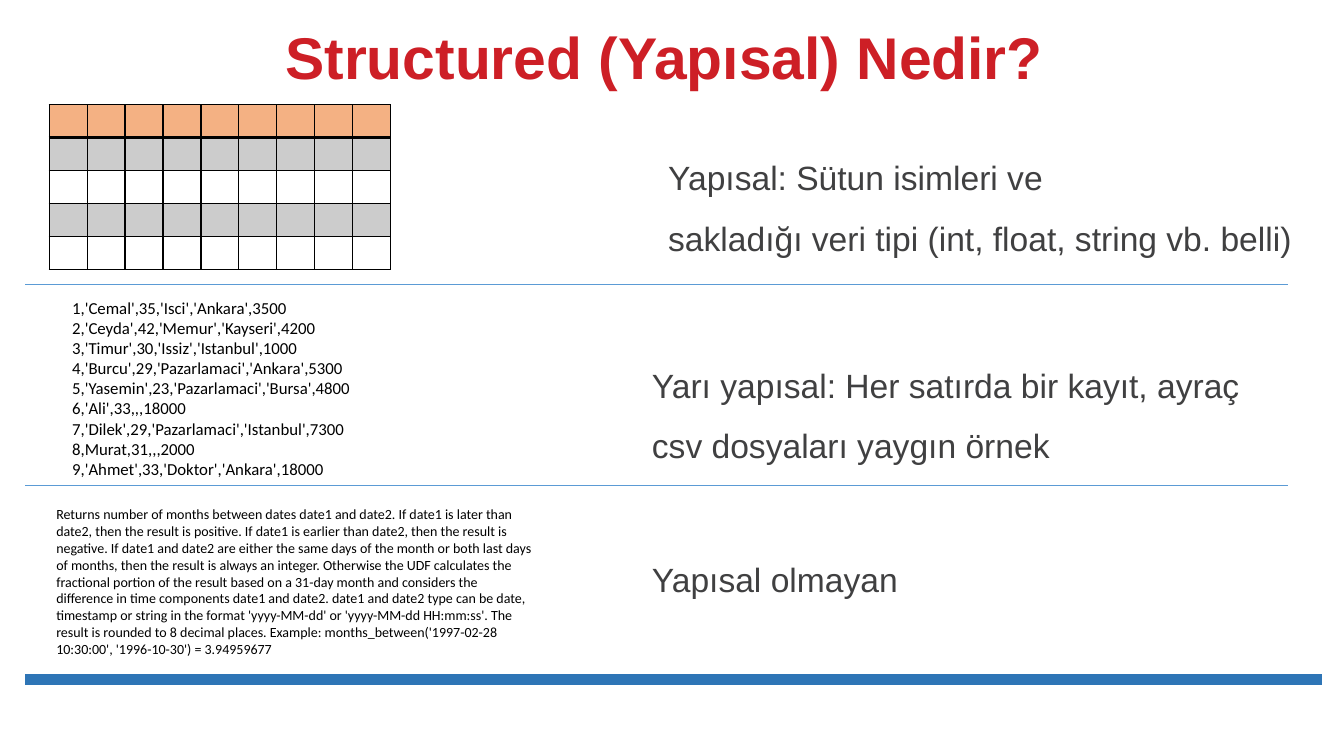
from dataclasses import dataclass

from lxml.etree import SubElement
from pptx import Presentation
from pptx.dml.color import RGBColor
from pptx.enum.shapes import MSO_CONNECTOR
from pptx.enum.text import MSO_ANCHOR, PP_ALIGN
from pptx.oxml.ns import qn
from pptx.util import Cm, Pt

TITLE = "Structured (Yapısal) Nedir?"
LABELS = [
    (14.05, 3.33, ["Yapısal: Sütun isimleri ve",
                   "sakladığı veri tipi (int, float, string vb. belli)"]),
    (13.64, 8.56, ["Yarı yapısal: Her satırda bir kayıt, ayraç",
                   "csv dosyaları yaygın örnek"]),
    (13.64, 13.44, ["Yapısal olmayan"]),
]
CSV_ROWS = [
    "1,'Cemal',35,'Isci','Ankara',3500",
    "2,'Ceyda',42,'Memur','Kayseri',4200",
    "3,'Timur',30,'Issiz','Istanbul',1000",
    "4,'Burcu',29,'Pazarlamaci','Ankara',5300",
    "5,'Yasemin',23,'Pazarlamaci','Bursa',4800",
    "6,'Ali',33,,,18000",
    "7,'Dilek',29,'Pazarlamaci','Istanbul',7300",
    "8,Murat,31,,,2000",
    "9,'Ahmet',33,'Doktor','Ankara',18000",
]
FREE_TEXT = (
    "Returns number of months between dates date1 and date2. If date1 is later than date2, "
    "then the result is positive. If date1 is earlier than date2, then the result is negative. "
    "If date1 and date2 are either the same days of the month or both last days of months, "
    "then the result is always an integer. Otherwise the UDF calculates the fractional portion "
    "of the result based on a 31-day month and considers the difference in time components "
    "date1 and date2. date1 and date2 type can be date, timestamp or string in the format "
    "'yyyy-MM-dd' or 'yyyy-MM-dd HH:mm:ss'. The result is rounded to 8 decimal places. "
    "Example: months_between('1997-02-28 10:30:00', '1996-10-30') = 3.94959677"
)
ROWS, COLS = 5, 9


@dataclass(frozen=True)
class Theme:
    title: str = "CD1F26"
    label: str = "404041"
    ink: str = "000000"
    header: str = "F4B183"
    divider: str = "5B9BD5"
    footer: str = "2E75B6"
    heading_font: str = "Arial"
    sample_font: str = "Calibri"
    title_size: int = 42
    label_size: int = 24
    csv_size: int = 12
    prose_size: int = 10


T = Theme()


def write(tf, lines, font, size, color, spacing=None, bold=False, align=None):
    tf.word_wrap = True
    tf.text = "\n".join(lines)
    for p in tf.paragraphs:
        p.line_spacing = spacing
        p.alignment = align
        for r in p.runs:
            r.font.name, r.font.size, r.font.bold = font, Pt(size), bold
            r.font.color.rgb = RGBColor.from_string(color)


def add_text(s, x, y, w, h, lines, font, size, color, spacing=None, inset=0.25):
    tf = s.shapes.add_textbox(Cm(x), Cm(y), Cm(w), Cm(h)).text_frame
    tf.margin_left = Cm(inset)
    write(tf, lines, font, size, color, spacing)


def add_rule(s, y, right, color, width):
    ln = s.shapes.add_connector(MSO_CONNECTOR.STRAIGHT, Cm(0.64), Cm(y), Cm(right), Cm(y))
    ln.line.color.rgb = RGBColor.from_string(color)
    ln.line.width = Pt(width)
    SubElement(ln._element.spPr, qn("a:effectLst"))


def add_solid(parent, color, alpha=100):
    clr = SubElement(SubElement(parent, qn("a:solidFill")), qn("a:srgbClr"), val=color)
    if alpha < 100:
        SubElement(clr, qn("a:alpha"), val=str(alpha * 1000))


def style_cell(cell, row):
    cell.margin_top = cell.margin_bottom = 0
    tc_pr = cell._tc.get_or_add_tcPr()
    for side in "LRTB":
        heavy = (row, side) in ((0, "B"), (1, "T"))
        ln = SubElement(tc_pr, qn(f"a:ln{side}"), w=str(Pt(2 if heavy else 1)))
        add_solid(ln, T.ink)
    if row == 0:
        add_solid(tc_pr, T.header)
    elif row % 2:
        add_solid(tc_pr, T.ink, 20)
    else:
        SubElement(tc_pr, qn("a:noFill"))


def add_grid(s):
    tbl = s.shapes.add_table(ROWS, COLS, Cm(1.24), Cm(2.64), Cm(8.61), Cm(4.15)).table
    tbl.first_row = tbl.horz_banding = False
    for col in tbl.columns:
        col.width = Cm(8.61 / COLS)
    for i, row in enumerate(tbl.rows):
        row.height = Cm(4.15 / ROWS)
        for cell in row.cells:
            style_cell(cell, i)


def main():
    """Build the slide comparing structured, semi-structured and unstructured data."""
    prs = Presentation()
    prs.slide_width, prs.slide_height = Cm(33.87), Cm(19.05)
    s = prs.slides.add_slide(prs.slide_layouts[5])
    add_rule(s, 17.12, 33.32, T.footer, 8)

    title = s.shapes.title
    title.left, title.top, title.width, title.height = Cm(4.04), Cm(0.58), Cm(25.4), Cm(1.88)
    title.text_frame.vertical_anchor = MSO_ANCHOR.BOTTOM
    write(title.text_frame, [TITLE], T.heading_font, T.title_size, T.title, 0.9, True,
          PP_ALIGN.CENTER)

    add_grid(s)
    add_text(s, 1.57, 7.37, 8.28, 4.88, CSV_ROWS, T.sample_font, T.csv_size, T.ink)
    add_text(s, 1.17, 12.62, 12.47, 4.11, [FREE_TEXT], T.sample_font, T.prose_size, T.ink)
    for x, y, lines in LABELS:
        add_text(s, x, y, 19.51, 0.28 + 1.52 * len(lines), lines, T.heading_font,
                 T.label_size, T.label, 1.5, 2.79)
    for y in (7.16, 12.22):
        add_rule(s, y, 32.46, T.divider, 0.5)
    prs.save("out.pptx")


if __name__ == "__main__":
    main()
